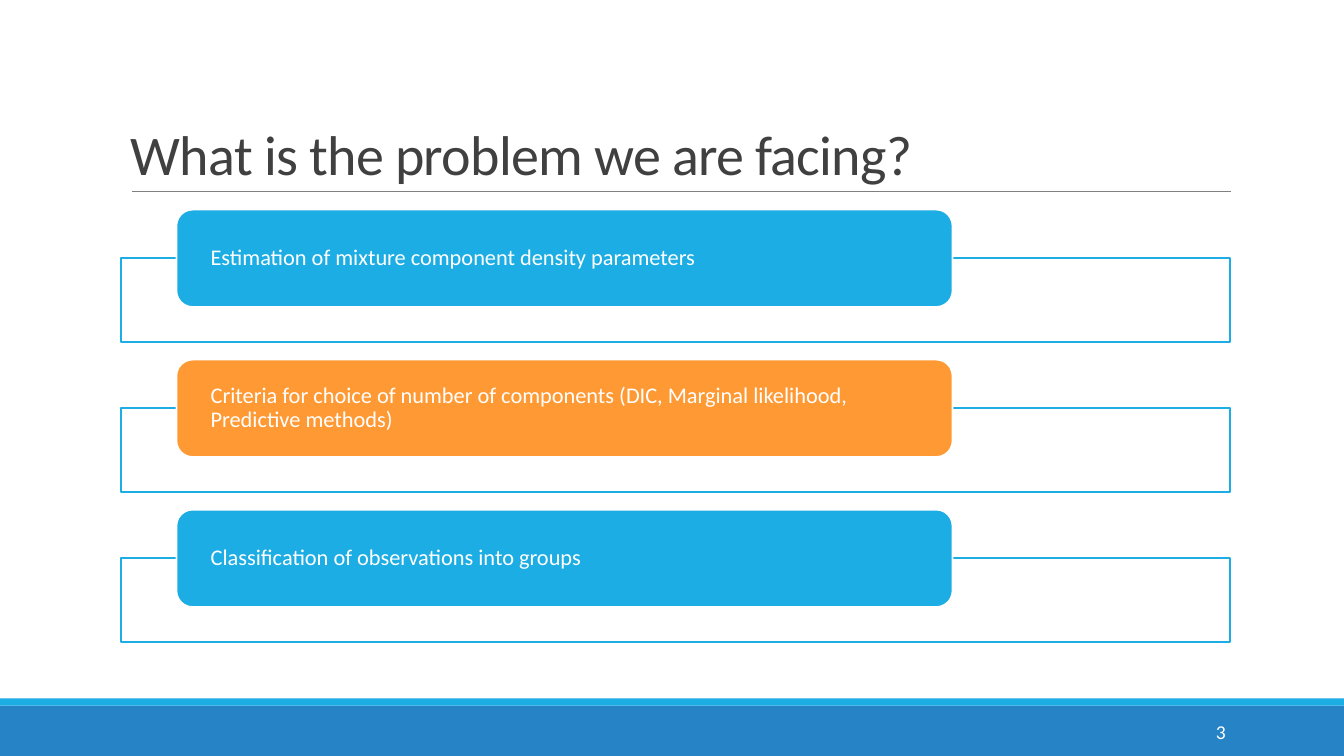
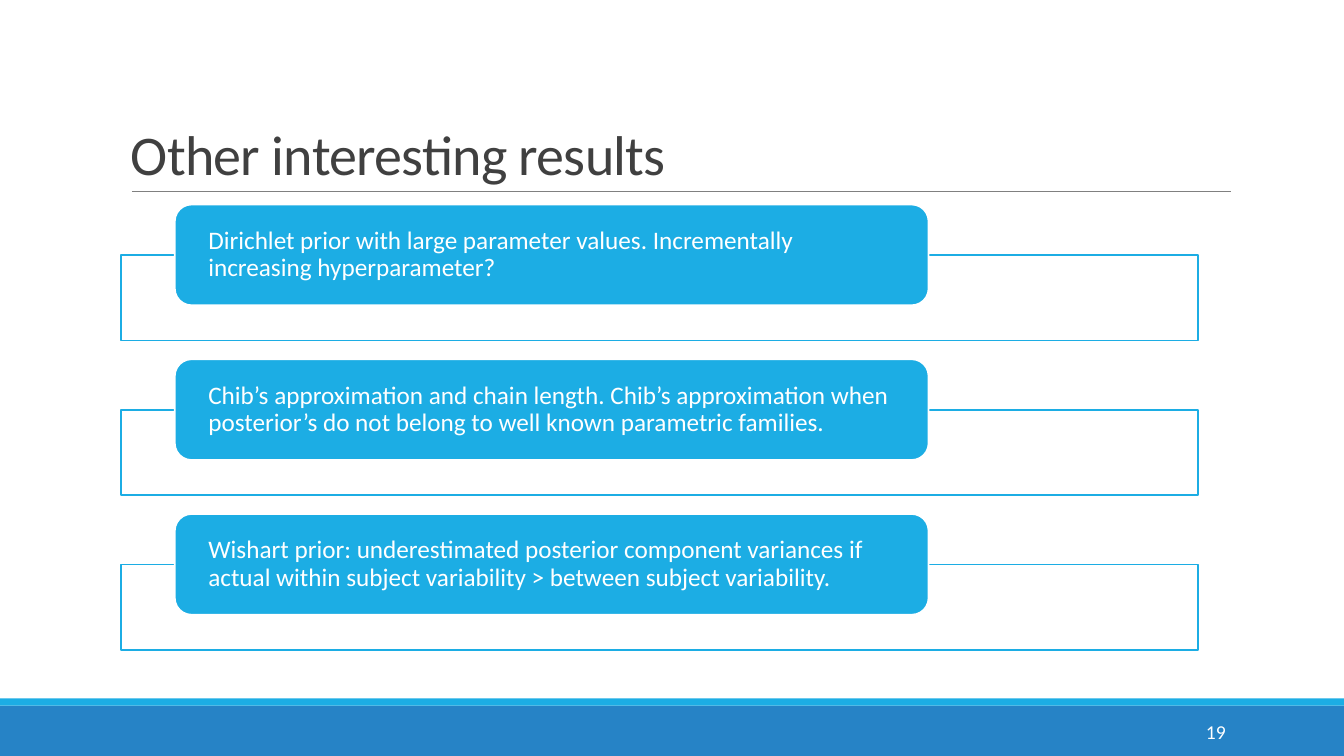
from lxml.etree import SubElement
from pptx import Presentation
from pptx.dml.color import RGBColor
from pptx.enum.shapes import MSO_CONNECTOR, MSO_SHAPE
from pptx.enum.text import MSO_ANCHOR, PP_ALIGN
from pptx.oxml.ns import qn
from pptx.util import Inches, Pt

WHITE = RGBColor(0xFF, 0xFF, 0xFF)
SKY = RGBColor(0x1C, 0xAD, 0xE4)
BLUE = RGBColor(0x26, 0x83, 0xC6)
ORANGE = RGBColor(0xFF, 0x99, 0x33)
GREY = RGBColor(0x80, 0x80, 0x80)
CHARCOAL = RGBColor(0x40, 0x40, 0x40)

FONT = "Calibri"
COLUMNS, ROWS = 160, 90
MARGIN, CONTENT_WIDTH = 14.4, 132  # columns


class Theme:
    """Shared style plus the slide being built; lengths are grid units."""

    def __init__(self, deck):
        self.deck = deck
        self.page = None

    def place(self, column, row, width, height):
        x_unit = self.deck.slide_width / COLUMNS
        y_unit = self.deck.slide_height / ROWS
        return (round(column * x_unit), round(row * y_unit),
                round(width * x_unit), round(height * y_unit))

    def new_page(self, title, number):
        self.page = self.deck.slides.add_slide(self.deck.slide_layouts[6])
        # Footer bands
        self.shape(MSO_SHAPE.RECTANGLE, (0, 84, COLUMNS, 6), BLUE)
        self.shape(MSO_SHAPE.RECTANGLE, (0, 83.15, COLUMNS, 0.85), SKY)
        # Title, its rule and the page number
        self.rule(15.7, 22.8, 130.8)
        span = self.text((MARGIN, 3.7, CONTENT_WIDTH, 19.1), title, 40,
                         CHARCOAL, MSO_ANCHOR.BOTTOM, line_spacing=0.85)
        span.font._element.set("spc", "-50")
        self.text((130, 84.7, 17.1, 4.8), str(number), 14, WHITE,
                  MSO_ANCHOR.MIDDLE, PP_ALIGN.RIGHT)

    def shape(self, kind, cells, fill, line=None, opacity=None):
        box = self.page.shapes.add_shape(kind, *self.place(*cells))
        box.shadow.inherit = False
        box.fill.solid()
        box.fill.fore_color.rgb = fill
        if opacity is not None:
            color = box._element.spPr.find(qn("a:solidFill"))[0]
            SubElement(color, qn("a:alpha"), val=str(opacity * 1000))
        if line is None:
            box.line.fill.background()
        else:
            box.line.color.rgb = line
            box.line.width = Pt(1.25)
        return box

    def rule(self, column, row, width):
        left, top, length, _ = self.place(column, row, width, 0)
        line = self.page.shapes.add_connector(
            MSO_CONNECTOR.STRAIGHT, left, top, left + length, top)
        line.line.color.rgb = GREY
        line.line.width = Pt(0.5)
        SubElement(line._element.spPr, qn("a:effectLst"))

    def text(self, cells, *style, **options):
        box = self.page.shapes.add_textbox(*self.place(*cells))
        return self.fill_text(box.text_frame, *style, **options)

    def fill_text(self, frame, words, size, color, anchor,
                  align=PP_ALIGN.LEFT, line_spacing=1.0):
        frame.word_wrap = True
        frame.vertical_anchor = anchor
        para = frame.paragraphs[0]
        para.alignment = align
        para.line_spacing = line_spacing
        para.font.name = FONT
        para.font.size = Pt(size)
        para.font.color.rgb = color
        span = para.add_run()
        span.text = words
        return span

    def label_list(self, items, top, step, width, frame_height,
                   label_height, size):
        """Open frames, each with a label centred on its top edge."""
        label_width = 0.7 * width
        for index, (words, fill) in enumerate(items):
            row = top + index * step
            self.shape(MSO_SHAPE.RECTANGLE, (MARGIN, row, width, frame_height),
                       WHITE, SKY, opacity=90)
            label = self.shape(
                MSO_SHAPE.ROUNDED_RECTANGLE,
                (MARGIN + 0.05 * width, row - label_height / 2,
                 label_width, label_height), fill, WHITE)
            frame = label.text_frame
            frame.margin_left = frame.margin_right = round(0.038 * label.width)
            frame.margin_top = frame.margin_bottom = 0
            self.fill_text(frame, words, size, WHITE, MSO_ANCHOR.MIDDLE,
                           line_spacing=0.9)


def main():
    deck = Presentation()
    deck.slide_width, deck.slide_height = Inches(13.33), Inches(7.5)
    theme = Theme(deck)

    # The problem
    theme.new_page("What is the problem we are facing?", 3)
    theme.label_list([
        ("Estimation of mixture component density parameters", SKY),
        ("Criteria for choice of number of components (DIC, Marginal "
         "likelihood, Predictive methods)", ORANGE),
        ("Classification of observations into groups", SKY),
    ], top=30.75, step=17.86, width=CONTENT_WIDTH, frame_height=9.95,
        label_height=11.6, size=16)

    # Other results
    theme.new_page("Other interesting results", 19)
    theme.label_list([
        ("Dirichlet prior with large parameter values. Incrementally "
         "increasing hyperparameter?", SKY),
        ("Chib’s approximation and chain length. Chib’s approximation when "
         "posterior’s do not belong to well known parametric families.", SKY),
        ("Wishart prior: underestimated posterior component variances if "
         "actual within subject variability > between subject variability.",
         SKY),
    ], top=30.35, step=18.42, width=128.2, frame_height=10.2,
        label_height=12, size=18)

    deck.save("out.pptx")


if __name__ == "__main__":
    main()
